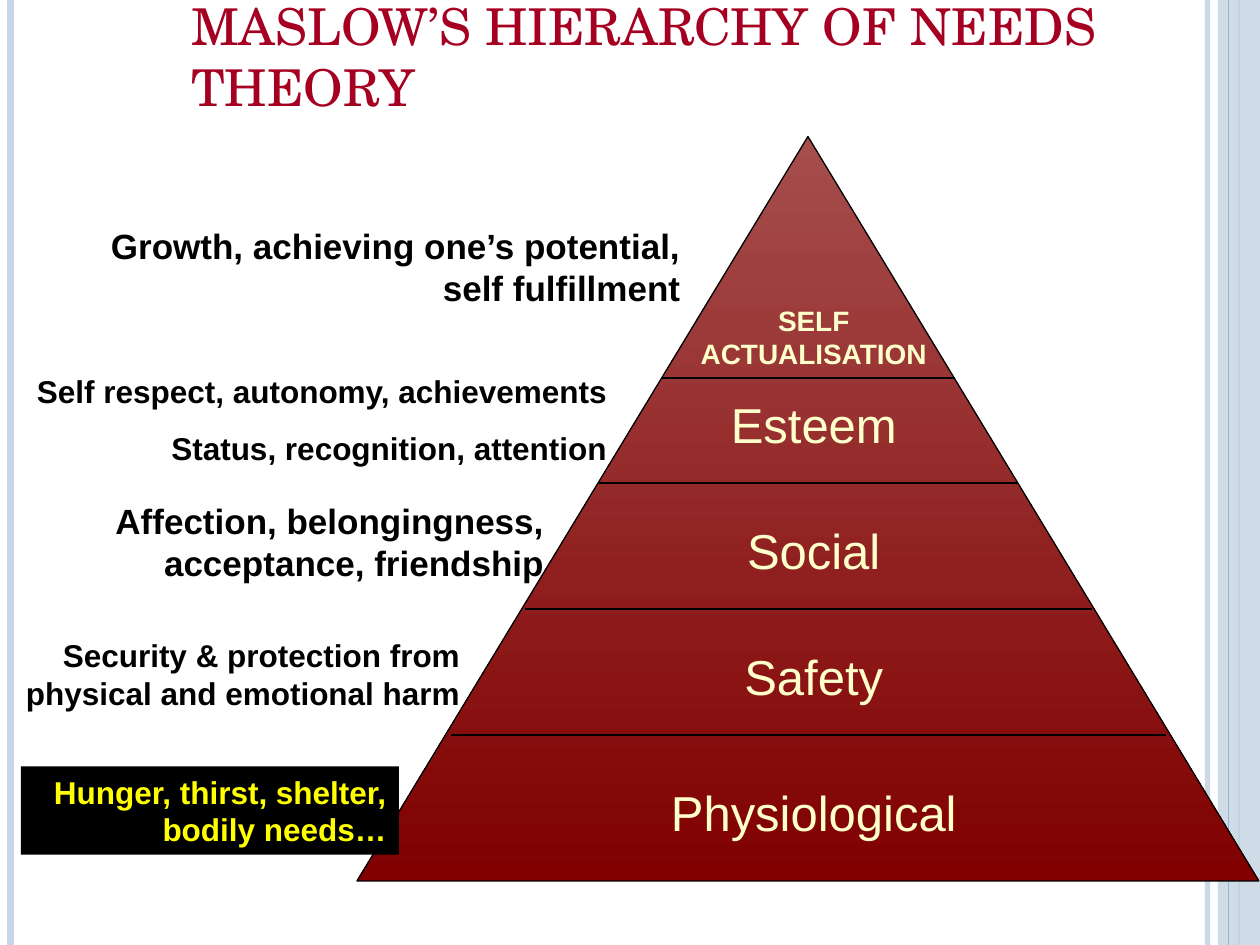
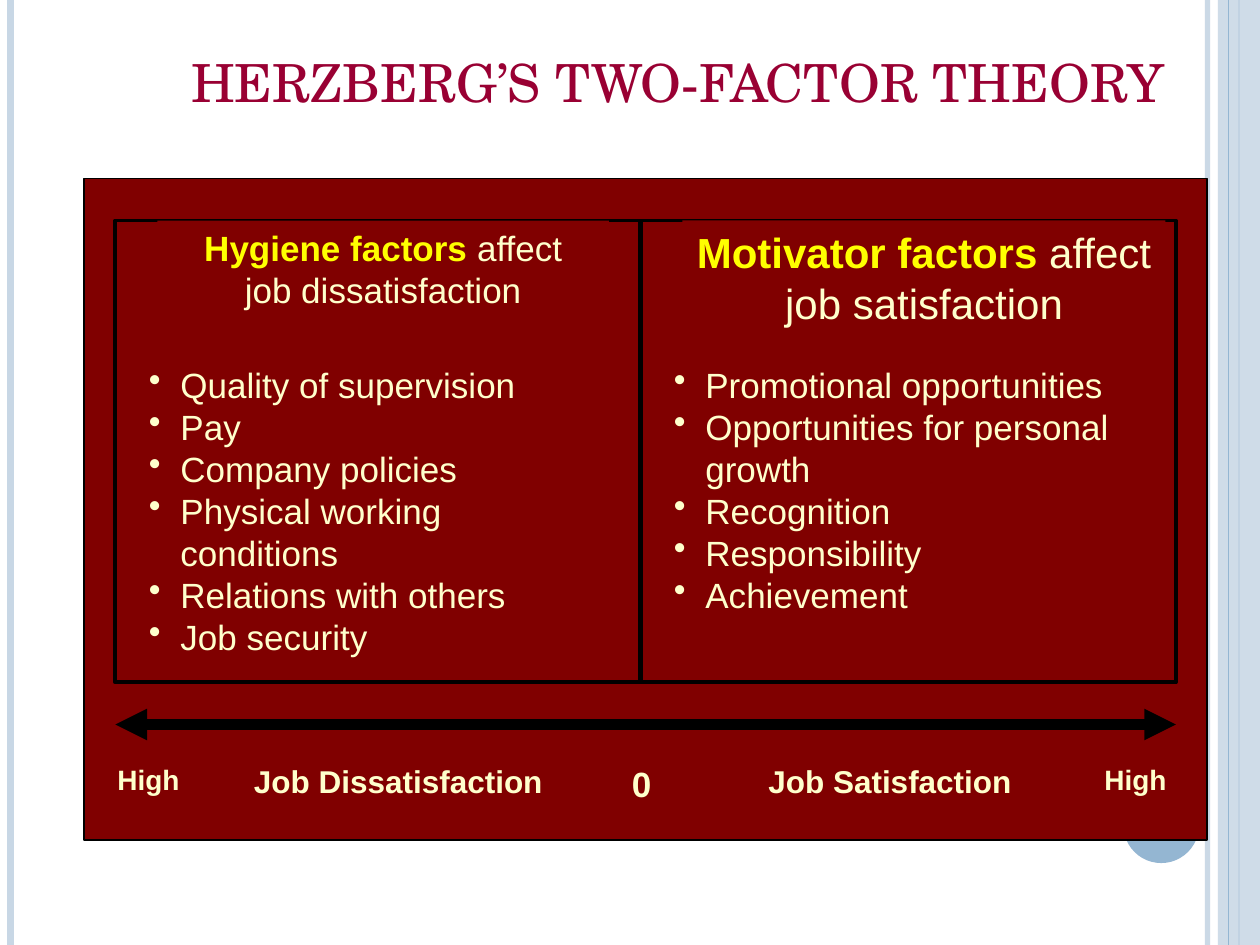
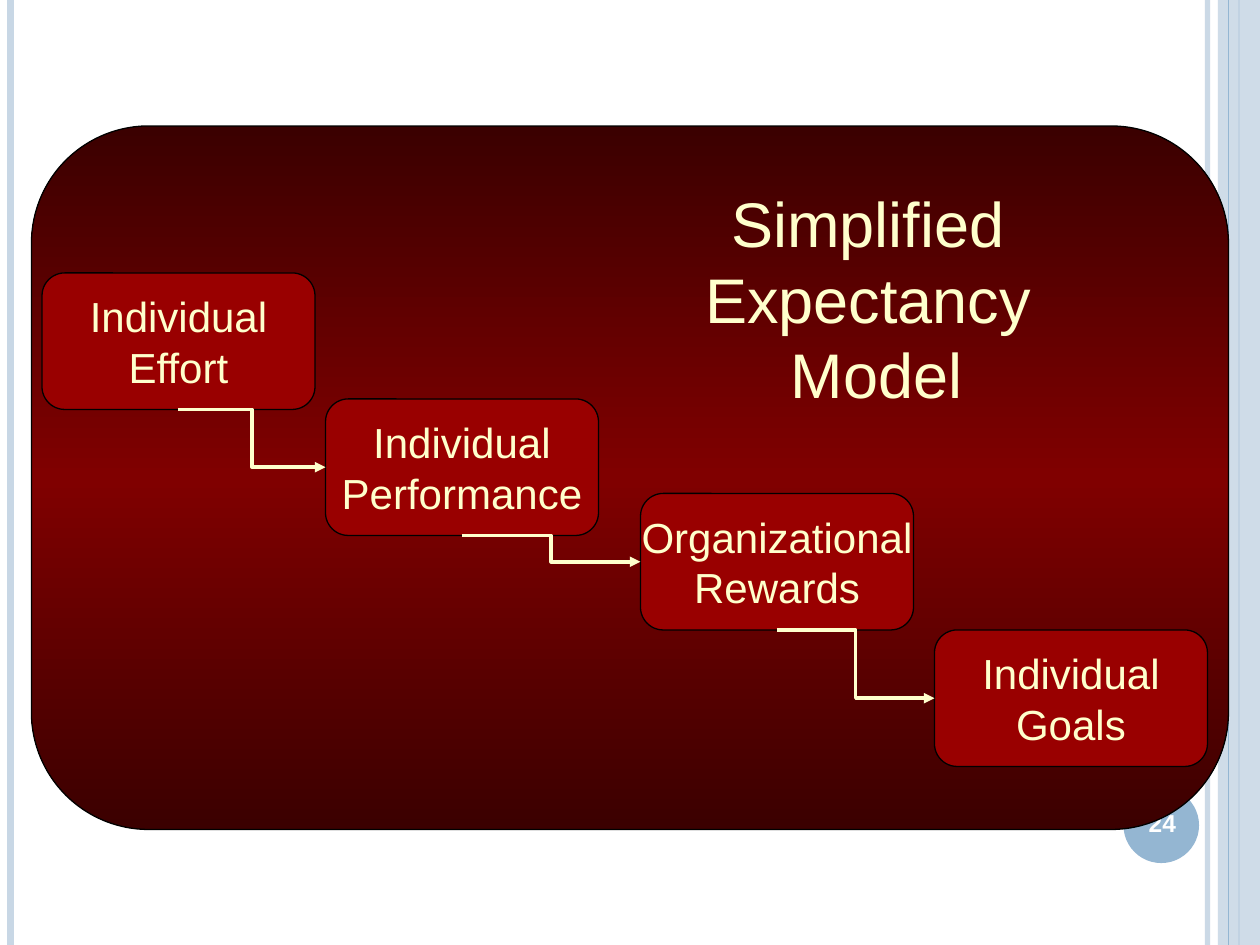
from lxml.etree import SubElement
from pptx import Presentation
from pptx.dml.color import RGBColor
from pptx.enum.shapes import MSO_CONNECTOR as Link, MSO_SHAPE as Shape
from pptx.enum.text import MSO_ANCHOR as Anchor, MSO_AUTO_SIZE as AutoSize, PP_ALIGN as Align
from pptx.oxml.ns import qn
from pptx.util import Pt

PX = 7620  # EMU per px, 120 px to the inch
WIDTH, HEIGHT = 1200, 900
BLACK = RGBColor(0x00, 0x00, 0x00)
WHITE = RGBColor(0xFF, 0xFF, 0xFF)
CREAM = RGBColor(0xFF, 0xFF, 0xCC)
YELLOW = RGBColor(0xFF, 0xFF, 0x00)
PALE_BLUE = RGBColor(0xC8, 0xD7, 0xE5)
BLUE = RGBColor(0x94, 0xB6, 0xD2)
CRIMSON = RGBColor(0xA5, 0x00, 0x21)
RASPBERRY = RGBColor(0x99, 0x00, 0x33)
MAROON = RGBColor(0x80, 0x00, 0x00)
ROSE = RGBColor(0xA6, 0x4D, 0x4D)
DARK_MAROON = RGBColor(0x3B, 0x00, 0x00)
RED = RGBColor(0x99, 0x00, 0x00)


def draw(slide, kind, box, fill=None, line=None, width=0.75, alpha=None, arrows=()):
    """Add a shape, a connector (box = both ends) or, without a kind, a text box.

    A list of colours as fill makes an even gradient from top to bottom.
    """
    box = [value * PX for value in box]
    if kind is None:
        return slide.shapes.add_textbox(*box)
    is_link = isinstance(kind, Link)
    if is_link:
        item = slide.shapes.add_connector(kind, *box)
    else:
        item = slide.shapes.add_shape(kind, *box)
        item.shadow.inherit = False
    properties = item.element.spPr
    if isinstance(fill, list):
        item.fill.gradient()
        item.fill.gradient_angle = 270
        stops = properties.find(".//" + qn("a:gsLst"))
        stops.clear()
        for i, colour in enumerate(fill):
            stop = SubElement(stops, qn("a:gs"), pos=str(100000 * i // (len(fill) - 1)))
            SubElement(stop, qn("a:srgbClr"), val=str(colour))
    elif fill is not None:
        item.fill.solid()
        item.fill.fore_color.rgb = fill
    if line is None:
        item.line.fill.background()
    else:
        item.line.color.rgb = line
        item.line.width = Pt(width)
    for end in arrows:
        SubElement(properties.find(qn("a:ln")), qn(f"a:{end}"), type="triangle")
    if is_link:
        SubElement(properties, qn("a:effectLst"))
    if alpha:
        for colour in properties.iter(qn("a:srgbClr")):
            SubElement(colour, qn("a:alpha"), val=str(alpha * 1000))
    return item


def write(item, *paragraphs, size, colour=CREAM, bold=False, font="Arial", align=Align.LEFT,
          anchor=Anchor.TOP, wrap=True, gap=0, spacing=None, bullet=False):
    """Fill item with paragraphs, each a string or a list of (text, colour, bold)."""
    frame = item.text_frame
    frame.auto_size = AutoSize.NONE
    frame.word_wrap = wrap
    frame.vertical_anchor = anchor
    for i, content in enumerate(paragraphs):
        paragraph = frame.add_paragraph() if i else frame.paragraphs[0]
        paragraph.alignment = align
        paragraph.line_spacing = spacing
        paragraph.space_before = Pt(gap if i else 0)
        if bullet:
            settings = paragraph._p.get_or_add_pPr()
            settings.set("marL", str(30 * PX))
            settings.set("indent", str(-30 * PX))
            bullet_colour = SubElement(settings, qn("a:buClr"))
            SubElement(bullet_colour, qn("a:srgbClr"), val=str(colour))
            SubElement(settings, qn("a:buChar"), char="•")
        parts = [(content, colour, bold)] if isinstance(content, str) else content
        for text, part_colour, part_bold in parts:
            for row, words in enumerate(text.split("\n")):
                if row:
                    paragraph.add_line_break()
                run = paragraph.add_run()
                run.text = words
                run.font.name = font
                run.font.size = Pt(size)
                run.font.bold = part_bold
                run.font.color.rgb = part_colour


deck = Presentation()
deck.slide_width, deck.slide_height = WIDTH * PX, HEIGHT * PX
title_only, blank = deck.slide_layouts[5], deck.slide_layouts[6]
maslow = deck.slides.add_slide(title_only)
herzberg = deck.slides.add_slide(title_only)
expectancy = deck.slides.add_slide(blank)

# Side bands and page disc, moved to the master
decoration = [
    draw(maslow, Link.STRAIGHT, (1150, 0, 1150, HEIGHT), line=PALE_BLUE, width=3, alpha=93),
    draw(maslow, Link.STRAIGHT, (10, 0, 10, HEIGHT), line=PALE_BLUE, width=4.5),
    draw(maslow, Link.STRAIGHT, (1180, 0, 1180, HEIGHT), line=BLUE, width=1.5),
    draw(maslow, Shape.RECTANGLE, (1160, 0, 40, HEIGHT), fill=PALE_BLUE, alpha=87),
    draw(maslow, Link.STRAIGHT, (1170, 0, 1170, HEIGHT), line=BLUE),
    draw(maslow, Shape.OVAL, (1070, 750, 72, 72), fill=BLUE),
]
for item in decoration:
    deck.slide_master.shapes.element.append(item.element)

for slide, text, size, colour, box in [
    (maslow, "MASLOW’S HIERARCHY OF NEEDS THEORY", 29, CRIMSON, (170, 40, 970, 77)),
    (herzberg, "HERZBERG’S TWO-FACTOR THEORY", 30, RASPBERRY, (170, 13, 1020, 101)),
]:
    title = slide.shapes.title
    title.left, title.top, title.width, title.height = [value * PX for value in box]
    write(title, text, size=size, colour=colour, font="TeX Gyre Schola", anchor=Anchor.BOTTOM)

# Maslow: pyramid of needs
draw(maslow, Shape.ISOSCELES_TRIANGLE, (340, 130, 859, 709), fill=[ROSE, MAROON], line=BLACK)
for y, half in [(360, 140), (460, 200), (580, 270), (700, 340)]:
    draw(maslow, Link.STRAIGHT, (770 - half, y, 770 + half, y), line=BLACK)
for need, y, width in [("Physiological", 739, 410), ("Safety", 610, 310),
                       ("Social", 490, 250), ("Esteem", 370, 210)]:
    write(draw(maslow, None, (775 - width // 2, y, width, 68)), need, size=28, align=Align.CENTER)
write(draw(maslow, None, (650, 283, 250, 77)), "SELF ACTUALISATION",
      size=16, bold=True, align=Align.CENTER)

hunger = draw(maslow, Shape.RECTANGLE, (20, 730, 360, 84), fill=BLACK)
write(hunger, "Hunger, thirst, shelter, bodily needs…",
      size=18, colour=YELLOW, bold=True, align=Align.RIGHT)
for box, size, examples in [
    ((0, 600, 450, 84), 18, ["Security & protection from physical and emotional harm"]),
    ((30, 470, 500, 92), 20, ["Affection, belongingness, acceptance, friendship"]),
    ((20, 348, 570, 103), 18, ["Self respect, autonomy, achievements",
                               "Status, recognition, attention"]),
    ((50, 208, 610, 92), 20, ["Growth, achieving one’s potential, self fulfillment"]),
]:
    write(draw(maslow, None, box), *examples,
          size=size, colour=BLACK, bold=True, align=Align.RIGHT, gap=11.2)

# Herzberg: two columns above a satisfaction scale
draw(herzberg, Shape.RECTANGLE, (80, 170, 1070, 630), fill=MAROON, line=BLACK, width=1)
draw(herzberg, Shape.RECTANGLE, (110, 210, 1010, 440), fill=MAROON, line=BLACK, width=2.25)
draw(herzberg, Link.STRAIGHT, (110, 690, 1120, 690), line=BLACK, width=6,
     arrows=("headEnd", "tailEnd"))
draw(herzberg, Link.STRAIGHT, (610, 210, 610, 650), line=BLACK, width=3)
for text, x, width, height, size in [
    ("High", 100, 83, 44, 16), ("High", 1040, 83, 44, 16),
    ("Job Dissatisfaction", 230, 299, 48, 18), ("Job Satisfaction", 720, 260, 48, 18),
    ("0", 590, 42, 53, 20),
]:
    mark = draw(herzberg, Shape.RECTANGLE, (x, 720, width, height), fill=MAROON)
    write(mark, text, size=size, bold=True, wrap=text == "Job Satisfaction")

for lead, effect, size, heading_box, list_box, factors in [
    ("Hygiene factors ", "affect\njob dissatisfaction", 20,
     (150, 210, 430, 92), (130, 340, 440, 293),
     ["Quality of supervision", "Pay", "Company policies", "Physical working conditions",
      "Relations with others", "Job security"]),
    ("Motivator factors ", "affect\njob satisfaction", 24,
     (650, 210, 460, 108), (630, 340, 480, 252),
     ["Promotional opportunities", "Opportunities for personal growth", "Recognition",
      "Responsibility", "Achievement"]),
]:
    heading = draw(herzberg, Shape.RECTANGLE, heading_box, fill=MAROON)
    write(heading, [(lead, YELLOW, True), (effect, CREAM, False)], size=size, align=Align.CENTER)
    factor_list = draw(herzberg, Shape.RECTANGLE, list_box, fill=MAROON)
    write(factor_list, *factors, size=20, bullet=True)

# Expectancy: steps going down to the right
write(draw(expectancy, None, (1067, 752, 80, 68)), "24", size=14, colour=WHITE, bold=True,
      align=Align.CENTER, anchor=Anchor.MIDDLE, spacing=0.81)
draw(expectancy, Shape.ROUNDED_RECTANGLE, (30, 120, 1140, 670),
     fill=[DARK_MAROON, MAROON, DARK_MAROON], line=BLACK)
STEP_WIDTH, STEP_HEIGHT = 260, 130
steps = [("Individual\nEffort", 40, 260), ("Individual\nPerformance", 310, 380),
         ("Organizational\nRewards", 610, 470), ("Individual\nGoals", 890, 600)]
for text, x, y in steps:
    step = draw(expectancy, Shape.ROUNDED_RECTANGLE, (x, y, STEP_WIDTH, STEP_HEIGHT),
                fill=RED, line=BLACK)
    write(step, text, size=24, align=Align.CENTER, anchor=Anchor.MIDDLE, wrap=False)
for (_, x, y), (_, next_x, next_y) in zip(steps, steps[1:]):
    draw(expectancy, Link.ELBOW,
         (x + STEP_WIDTH // 2, y + STEP_HEIGHT, next_x, next_y + STEP_HEIGHT // 2),
         line=CREAM, width=2, arrows=("tailEnd",))
write(draw(expectancy, None, (570, 170, 530, 228)), "Simplified \nExpectancy \nModel",
      size=36, align=Align.CENTER)

deck.save("out.pptx")
